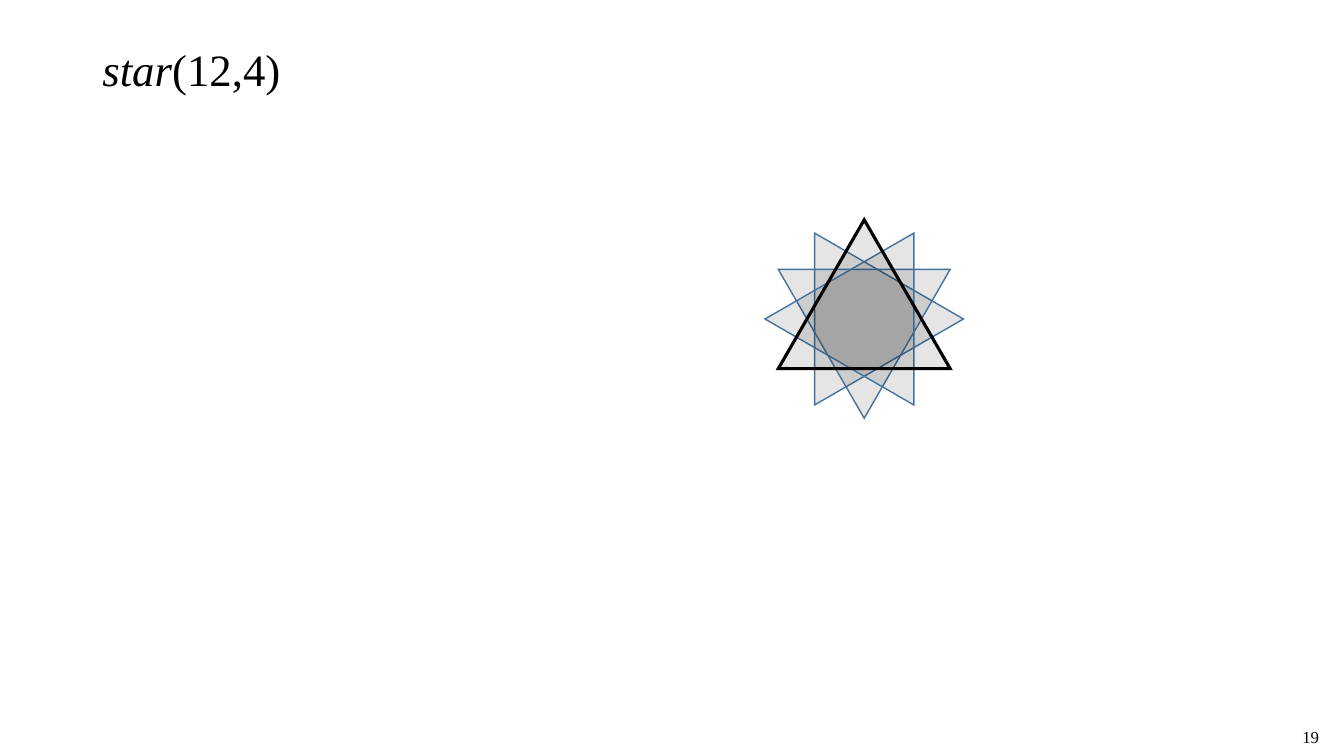
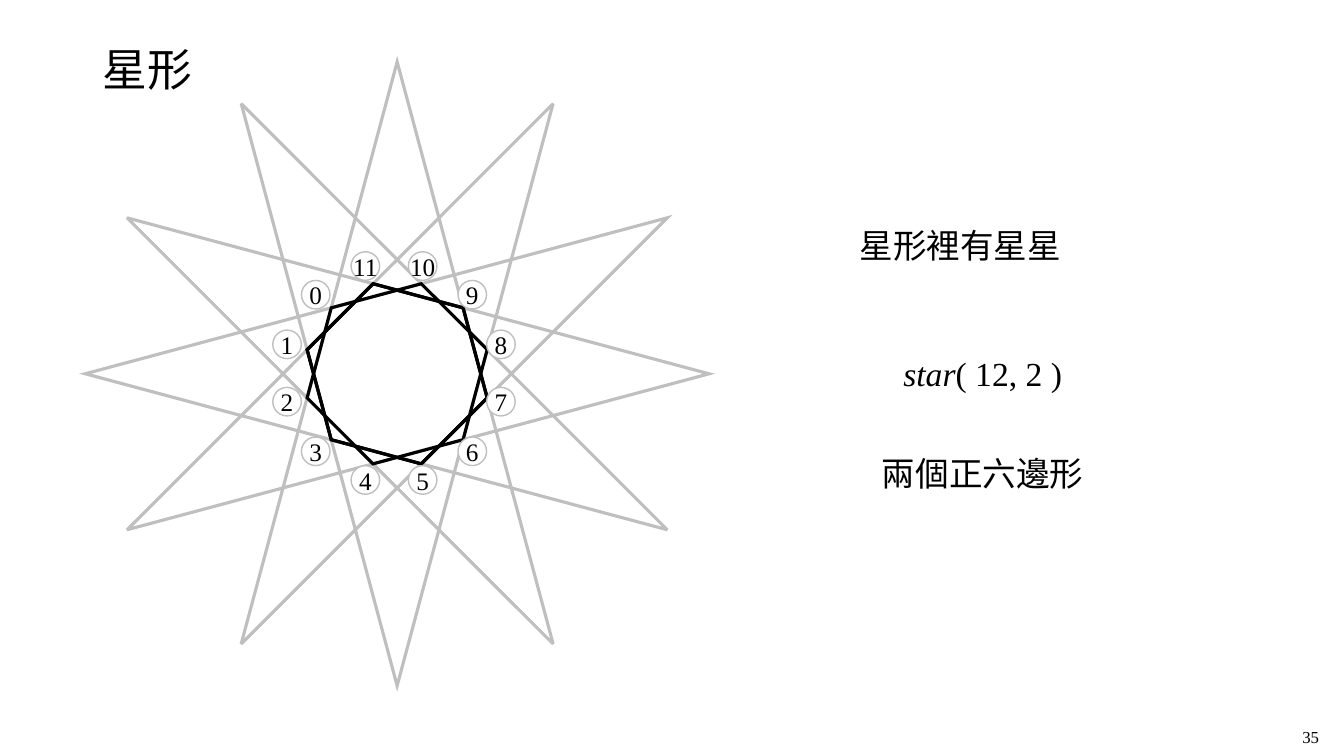
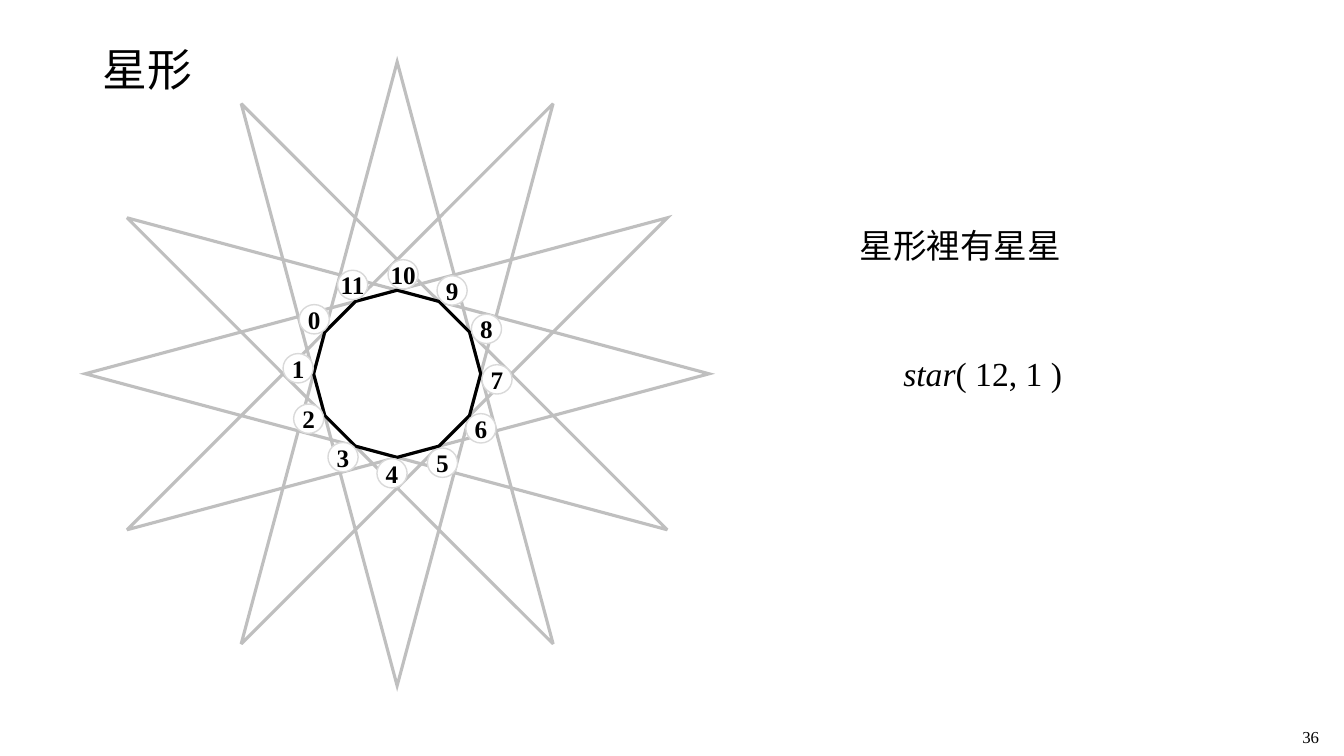
from math import cos, radians, sin

from lxml.etree import SubElement
from pptx import Presentation
from pptx.dml.color import RGBColor
from pptx.enum.shapes import MSO_SHAPE as Preset
from pptx.enum.text import MSO_ANCHOR as Anchor, PP_ALIGN as Align
from pptx.oxml.ns import qn
from pptx.util import Cm, Pt

COLORS = {
    "ink": "000000",
    "paper": "FFFFFF",
    "outline": "BFBFBF",
    "pale": "D9D9D9",
    "blue": "43739E",
}
SERIF = "Times New Roman"
SANS = "Noto Sans CJK SC"
TITLE = {"size": Pt(32)}
BODY = {"size": Pt(24)}
LABEL = {"size": Pt(18)}
FOOTER = {"size": Pt(12)}
POINTS = 12
STEP = 360 / POINTS
STAR_CENTER = (10.01, 9.42)
STAR_RADIUS = 7.86


def color(name):
    return RGBColor.from_string(COLORS[name])


def write(frame, spans, formats, align=Align.LEFT, anchor=Anchor.TOP, wrap=True, spacing=None):
    settings = {"word_wrap": wrap, "vertical_anchor": anchor}
    for name, value in settings.items():
        setattr(frame, name, value)
    para = frame.paragraphs[0]
    for name, value in {"alignment": align, "line_spacing": spacing}.items():
        setattr(para, name, value)
    for text, extra in spans:
        span = para.add_run()
        span.text = text
        for name, value in {"name": SERIF, **formats, **extra}.items():
            setattr(span.font, name, value)
        span.font.color.rgb = color("ink")
        SubElement(span.font._element, qn("a:ea"), typeface=SANS)


def add_text(page, box, spans, formats, **layout):
    shape = page.shapes.add_textbox(*map(Cm, box))
    write(shape.text_frame, spans, formats, **layout)


def paint(shape, fill, line, width):
    shape.shadow.inherit = False
    if fill:
        shape.fill.solid()
        shape.fill.fore_color.rgb = color(fill)
    else:
        shape.fill.background()
    if line:
        shape.line.color.rgb = color(line)
        shape.line.width = Pt(width)
    else:
        shape.line.fill.background()


def polar(center, radius, angle):
    turn = radians(angle)
    return center[0] + radius * cos(turn), center[1] - radius * sin(turn)


def add_polygon(page, center, corners, line, width=2.25, fill=None, alpha=None):
    points = [tuple(map(Cm, polar(center, *corner))) for corner in corners]
    builder = page.shapes.build_freeform(*points[0])
    builder.add_line_segments(points[1:], close=True)
    shape = builder.convert_to_shape()
    paint(shape, fill, line, width)
    SubElement(shape.line._get_or_add_ln(), qn("a:miter"), lim="800000")
    if alpha:
        tint = shape.fill._xPr.find(qn("a:solidFill"))[0]
        SubElement(tint, qn("a:alpha"), val=str(alpha * 1000))


def regular(sides, radius, start):
    return [(radius, start + 360 / sides * side) for side in range(sides)]


def tip_radius(skip):
    return STAR_RADIUS * cos(radians(5 * STEP / 2)) / cos(radians(skip * STEP / 2))


def tip_angle(skip):
    return 90 + STEP / 2 * ((skip + 1) % 2)


def add_star(page, skip, line):
    tips = regular(POINTS, tip_radius(skip), tip_angle(skip))
    if skip == 1:
        corners = tips
    else:
        notches = regular(POINTS, tip_radius(skip - 1), tip_angle(skip) + STEP / 2)
        corners = [corner for pair in zip(tips, notches) for corner in pair]
    add_polygon(page, STAR_CENTER, corners, line)


def add_labels(page, center, radius, start, size, line, bold):
    for number in range(POINTS):
        x, y = polar(center, radius, start + STEP * number)
        width, height = size
        box = (x - width / 2, y - height / 2, width, height)
        shape = page.shapes.add_shape(Preset.OVAL, *map(Cm, box))
        paint(shape, "paper", line, 1)
        frame = shape.text_frame
        for side in ("left", "right", "top", "bottom"):
            setattr(frame, f"margin_{side}", 0)
        write(frame, [(str(number), {"bold": bold})], LABEL,
              align=Align.CENTER, anchor=Anchor.MIDDLE, wrap=False)


def add_caption(page, box, spans):
    shape = page.shapes.add_shape(Preset.RECTANGLE, *map(Cm, box))
    paint(shape, "paper", None, 0)
    write(shape.text_frame, spans, BODY, align=Align.CENTER, anchor=Anchor.MIDDLE)


def star_call(arguments):
    return [("star", {"italic": True}), (arguments, {})]


def add_page(deck, title, number):
    page = deck.slides.add_slide(deck.slide_layouts[6])
    add_text(page, (2.33, 1.02, 29.21, 1.57), title, TITLE,
             anchor=Anchor.MIDDLE, spacing=0.9)
    add_text(page, (32.57, 18.19, 0.94, 0.77), [(str(number), {})], FOOTER, wrap=False)
    return page


def triangles_page(deck):
    page = add_page(deck, star_call("(12,4)"), 19)
    for turn in range(4):
        line, width = ("ink", 2.25) if turn == 3 else ("blue", 1)
        add_polygon(page, (21.78, 8.04), regular(3, 2.5, STEP * turn),
                    line, width, fill="ink", alpha=10)


def nested_page(deck, number, inner, captions, labels):
    page = add_page(deck, [("星形", {"name": SANS})], number)
    for skip in range(5, 0, -1):
        add_star(page, skip, "outline")
    for skip in range(inner, 0, -1):
        add_star(page, skip, "ink")
    if inner == 2:
        add_polygon(page, STAR_CENTER, regular(6, tip_radius(2), tip_angle(2)), "ink")
    add_labels(page, **labels)
    add_text(page, (21.41, 5.54, 5.84, 1.27), [("星形裡有星星", {})], BODY, wrap=False)
    for row, spans in enumerate(captions):
        add_caption(page, (21.08, 8.15 + 2.51 * row, 7.37, 2.51), spans)


def main():
    deck = Presentation()
    deck.slide_width, deck.slide_height = Cm(33.87), Cm(19.05)
    triangles_page(deck)
    nested_page(
        deck, 35, 2, [star_call("( 12, 2 )"), [("兩個正六邊形", {})]],
        {"center": (9.93, 9.4), "radius": 2.79, "start": 135,
         "size": (0.72, 0.72), "line": "outline", "bold": False})
    nested_page(
        deck, 36, 1, [star_call("( 12, 1 )")],
        {"center": (10.02, 9.42), "radius": 2.51, "start": 146.8,
         "size": (0.76, 0.74), "line": "pale", "bold": True})
    deck.save("out.pptx")


if __name__ == "__main__":
    main()
